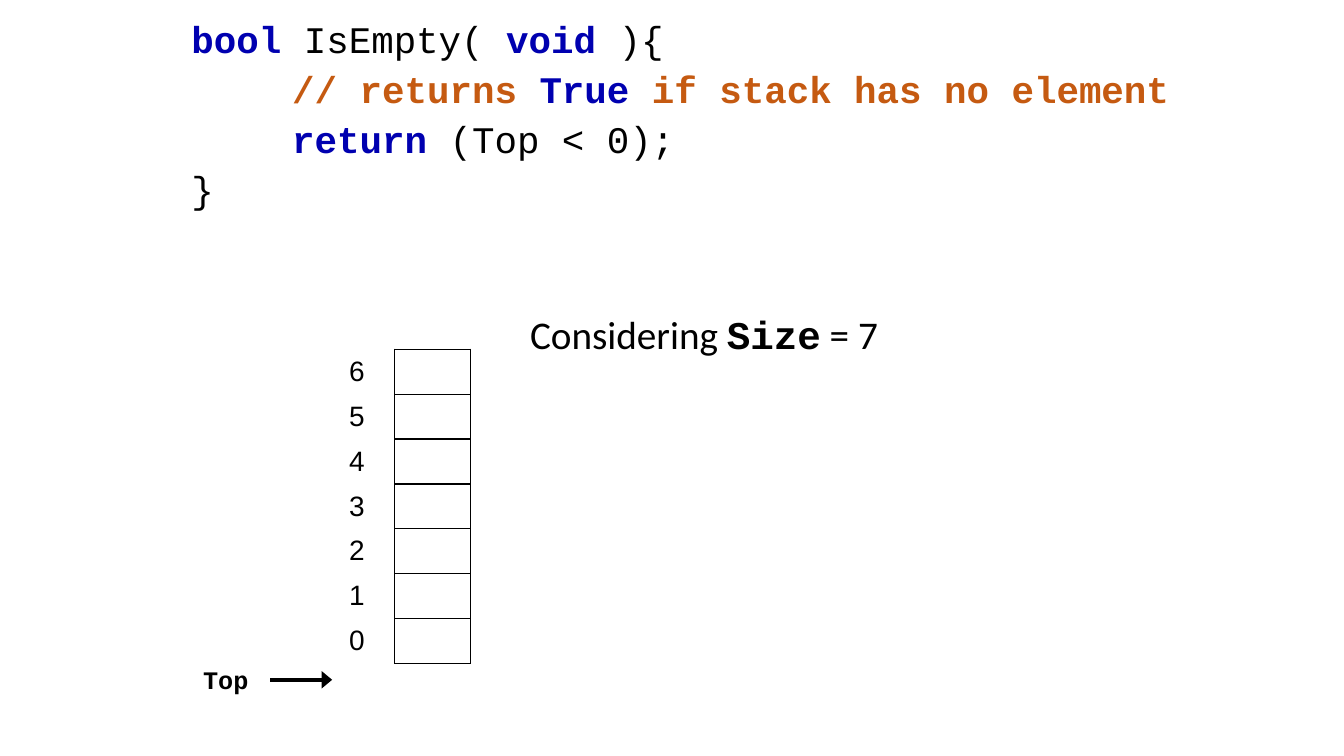
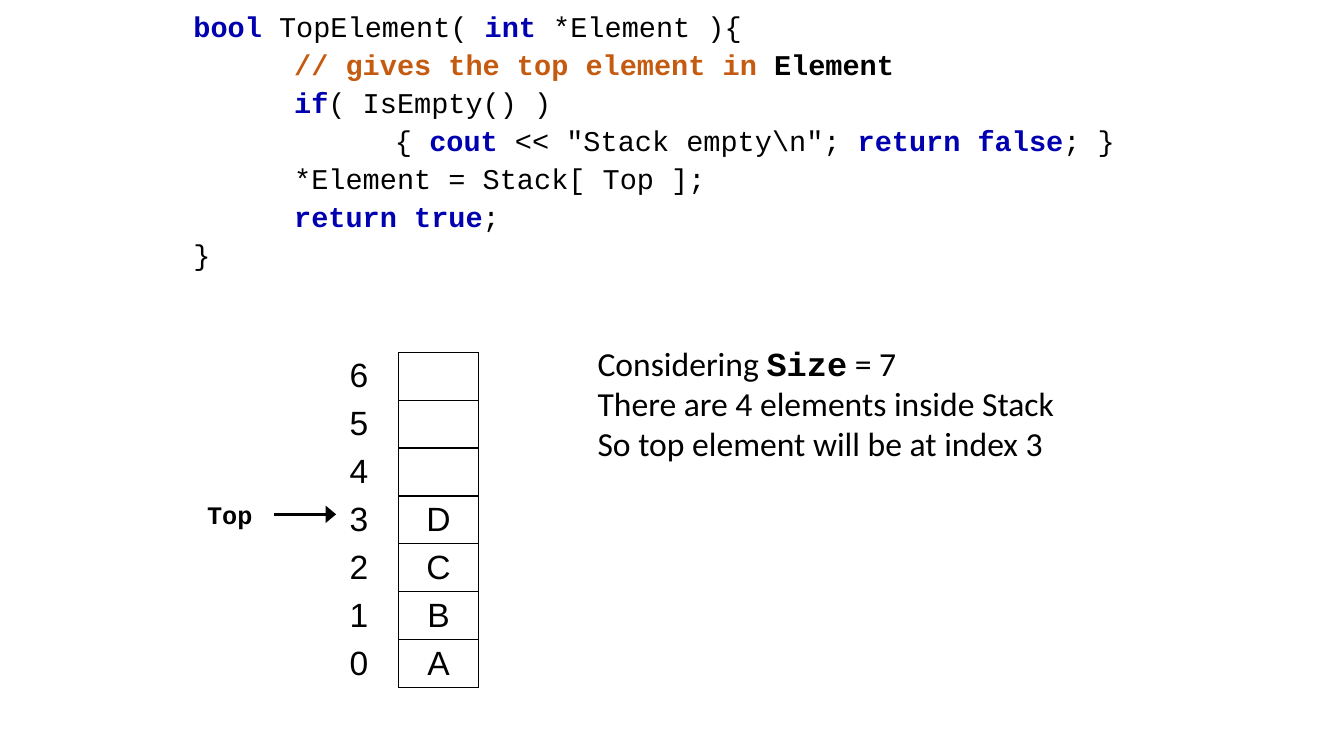
from typing import NamedTuple

from lxml.etree import SubElement
from pptx import Presentation
from pptx.dml.color import RGBColor
from pptx.enum.shapes import MSO_CONNECTOR as Connector, MSO_SHAPE as Shape
from pptx.enum.text import MSO_ANCHOR as Anchor, MSO_AUTO_SIZE as AutoSize, PP_ALIGN as Align
from pptx.oxml.ns import qn
from pptx.util import Cm, Pt

BLACK, WHITE, BLUE, ORANGE = "000000", "FFFFFF", "0000B0", "C55A11"
CODE_FONT, NOTE_FONT, TABLE_FONT = "Courier New", "Calibri", "Arial"
NO_STYLE_TABLE = "{2D5ABB26-0587-4C30-8999-92F81FD0307C}"
TAB_STEP = 2.54
STACK_SIZE = 7


class Box(NamedTuple):
    """Hold a region in centimetres."""
    left: float
    top: float
    width: float
    height: float

    def lengths(self):
        """Return the four measures as slide lengths."""
        return [Cm(value) for value in self]


class Style(NamedTuple):
    """Describe how a run looks."""
    font: str
    color: str = BLACK
    bold: bool = False


PLAIN = Style(CODE_FONT)
KEYWORD = Style(CODE_FONT, BLUE, True)
COMMENT = Style(CODE_FONT, ORANGE, True)
STRONG = Style(CODE_FONT, BLACK, True)
NOTE = Style(NOTE_FONT)
CELL = Style(TABLE_FONT)

SIZE_NOTE = [("Considering ", NOTE), ("Size", STRONG), (" = 7", NOTE)]

IS_EMPTY_CODE = [
    [("bool ", KEYWORD), ("IsEmpty( ", PLAIN), ("void", KEYWORD), (" ){", PLAIN)],
    [("\t// returns ", COMMENT), ("True", KEYWORD), (" if stack has no element", COMMENT)],
    [("\treturn", KEYWORD), (" (Top < 0);", PLAIN)],
    [("}", PLAIN)],
]
TOP_ELEMENT_CODE = [
    [("bool ", KEYWORD), ("TopElement( ", PLAIN), ("int ", KEYWORD), ("*Element ){", PLAIN)],
    [("\t// gives the top element in ", COMMENT), ("Element", STRONG)],
    [("\tif", KEYWORD), ("( IsEmpty() )", PLAIN)],
    [("\t\t{ ", PLAIN), ("cout ", KEYWORD), ('<< "Stack empty\\n"; ', PLAIN),
     ("return false", KEYWORD), ("; }", PLAIN)],
    [("\t*Element = Stack[ Top ];", PLAIN)],
    [("\treturn true", KEYWORD), (";", PLAIN)],
    [("}", PLAIN)],
]
TOP_ELEMENT_NOTES = [
    SIZE_NOTE,
    [("There are 4 elements inside Stack", NOTE)],
    [("So top element will be at index 3", NOTE)],
]


def rgb(color):
    """Turn a hex string into a colour."""
    return RGBColor.from_string(color)


def add_runs(paragraph, runs, size):
    """Add styled runs to a paragraph."""
    for text, style in runs:
        run = paragraph.add_run()
        run.text = text
        run.font.name, run.font.size, run.font.bold = style.font, Pt(size), style.bold
        run.font.color.rgb = rgb(style.color)


def add_lines(text_frame, lines, size):
    """Write each line as a paragraph and return the paragraphs."""
    for index, runs in enumerate(lines):
        paragraph = text_frame.add_paragraph() if index else text_frame.paragraphs[0]
        add_runs(paragraph, runs, size)
    return text_frame.paragraphs


def add_code(slide, box, lines, size, line_spacing):
    """Fill the body placeholder with a code listing."""
    body = slide.placeholders[1]
    body.left, body.top, body.width, body.height = box.lengths()
    text_frame = body.text_frame
    text_frame.auto_size, text_frame.vertical_anchor = AutoSize.NONE, Anchor.TOP
    for index, paragraph in enumerate(add_lines(text_frame, lines, size)):
        properties = paragraph._p.get_or_add_pPr()
        properties.set("marL", "0")
        properties.set("indent", "0")
        properties.set("defTabSz", str(Cm(TAB_STEP)))
        SubElement(properties, qn("a:buNone"))
        paragraph.line_spacing = line_spacing
        paragraph.space_before = Pt(10 if index else 0)


def add_notes(slide, box, lines, size):
    """Place the remarks beside the stack."""
    text_frame = slide.shapes.add_textbox(*box.lengths()).text_frame
    text_frame.word_wrap = True
    add_lines(text_frame, lines, size)


def set_borders(cell, sides):
    """Draw thin black borders on the given sides of a cell."""
    properties = cell._tc.get_or_add_tcPr()
    for side in sides:
        line = SubElement(properties, qn(f"a:ln{side}"), w=str(Pt(1)))
        fill = SubElement(line, qn("a:solidFill"))
        SubElement(fill, qn("a:srgbClr"), val=BLACK)


def fill_cell(cell, text, size):
    """Centre a text in a table cell."""
    cell.vertical_anchor = Anchor.MIDDLE
    cell.margin_left = cell.margin_right = Cm(0.18)
    cell.margin_top = cell.margin_bottom = Cm(0.09)
    paragraph = cell.text_frame.paragraphs[0]
    paragraph.alignment = Align.CENTER
    if text:
        add_runs(paragraph, [(text, CELL)], size)


def add_stack(slide, box, elements, size):
    """Draw the stack as indices beside bordered cells, index 0 lowest."""
    rows = STACK_SIZE + 1
    table = slide.shapes.add_table(rows, 2, *box.lengths()).table
    table.first_row = table.horz_banding = False
    table._tbl.tblPr.find(qn("a:tableStyleId")).text = NO_STYLE_TABLE
    for column in table.columns:
        column.width = Cm(box.width / 2)
    for number, row in enumerate(table.rows):
        row.height = Cm(box.height / rows)
        index = STACK_SIZE - number
        label = str(index) if number else ""
        element = elements[index] if index < len(elements) else ""
        for cell, text in zip(row.cells, (label, element)):
            fill_cell(cell, text, size)
        set_borders(row.cells[1], "LRTB" if number else "B")
        for cell in row.cells:
            cell.fill.background()


def add_top_pointer(slide, box):
    """Group the Top label in the box with an arrow on its right."""
    group = slide.shapes.add_group_shape()
    label = group.shapes.add_shape(Shape.RECTANGLE, *box.lengths())
    label.shadow.inherit = False
    label.fill.solid()
    label.fill.fore_color.rgb = rgb(WHITE)
    label.line.fill.background()
    label.text_frame.vertical_anchor = Anchor.MIDDLE
    paragraph = label.text_frame.paragraphs[0]
    paragraph.alignment = Align.CENTER
    add_runs(paragraph, [("Top", STRONG)], 18)

    start, middle = box.left + box.width, box.top + box.height / 2
    arrow = group.shapes.add_connector(
        Connector.STRAIGHT, Cm(start), Cm(middle), Cm(start + 1.56), Cm(middle))
    arrow.line.color.rgb = rgb(BLACK)
    arrow.line.width = Pt(2.5)
    SubElement(arrow.line._get_or_add_ln(), qn("a:tailEnd"), type="triangle", w="lg")
    SubElement(arrow._element.spPr, qn("a:effectLst"))


def add_code_slide(presentation):
    """Add a white slide that keeps only the body placeholder."""
    slide = presentation.slides.add_slide(presentation.slide_layouts[1])
    title = slide.shapes.title._element
    title.getparent().remove(title)
    slide.background.fill.solid()
    slide.background.fill.fore_color.rgb = rgb(WHITE)
    return slide


def add_is_empty_slide(presentation):
    """Show IsEmpty with an empty stack."""
    slide = add_code_slide(presentation)
    add_code(slide, Box(4.57, 0.5, 25.53, 5.16), IS_EMPTY_CODE, 26.8, 0.8)
    add_stack(slide, Box(8.04, 7.67, 3.81, 9.05), "", 20)
    add_top_pointer(slide, Box(4.57, 16.72, 2.24, 0.82))
    add_notes(slide, Box(13.11, 7.69, 12.12, 1.45), [SIZE_NOTE], 28)


def add_top_element_slide(presentation):
    """Show TopElement with four stacked elements."""
    slide = add_code_slide(presentation)
    add_code(slide, Box(4.62, 0.33, 24.74, 7.14), TOP_ELEMENT_CODE, 20.4, 0.7)
    add_notes(slide, Box(14.81, 8.51, 12.27, 3.33), TOP_ELEMENT_NOTES, 24)
    add_stack(slide, Box(8.04, 7.67, 4.02, 9.66), "ABCD", 24)
    add_top_pointer(slide, Box(4.67, 12.55, 2.24, 0.82))


def main():
    """Build and save the presentation."""
    presentation = Presentation()
    presentation.slide_width, presentation.slide_height = Cm(33.87), Cm(19.05)
    add_is_empty_slide(presentation)
    add_top_element_slide(presentation)
    presentation.save("out.pptx")


if __name__ == "__main__":
    main()
